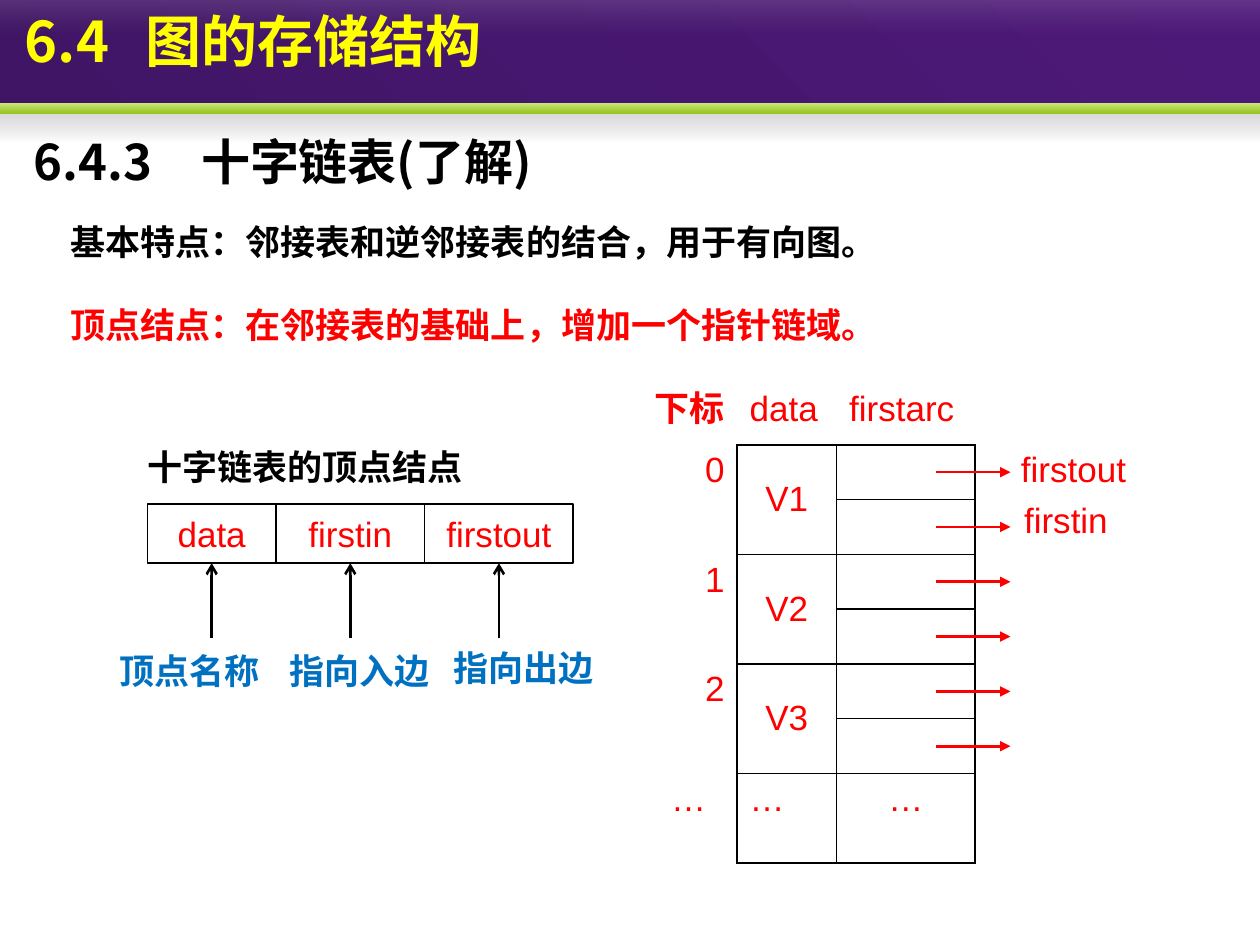
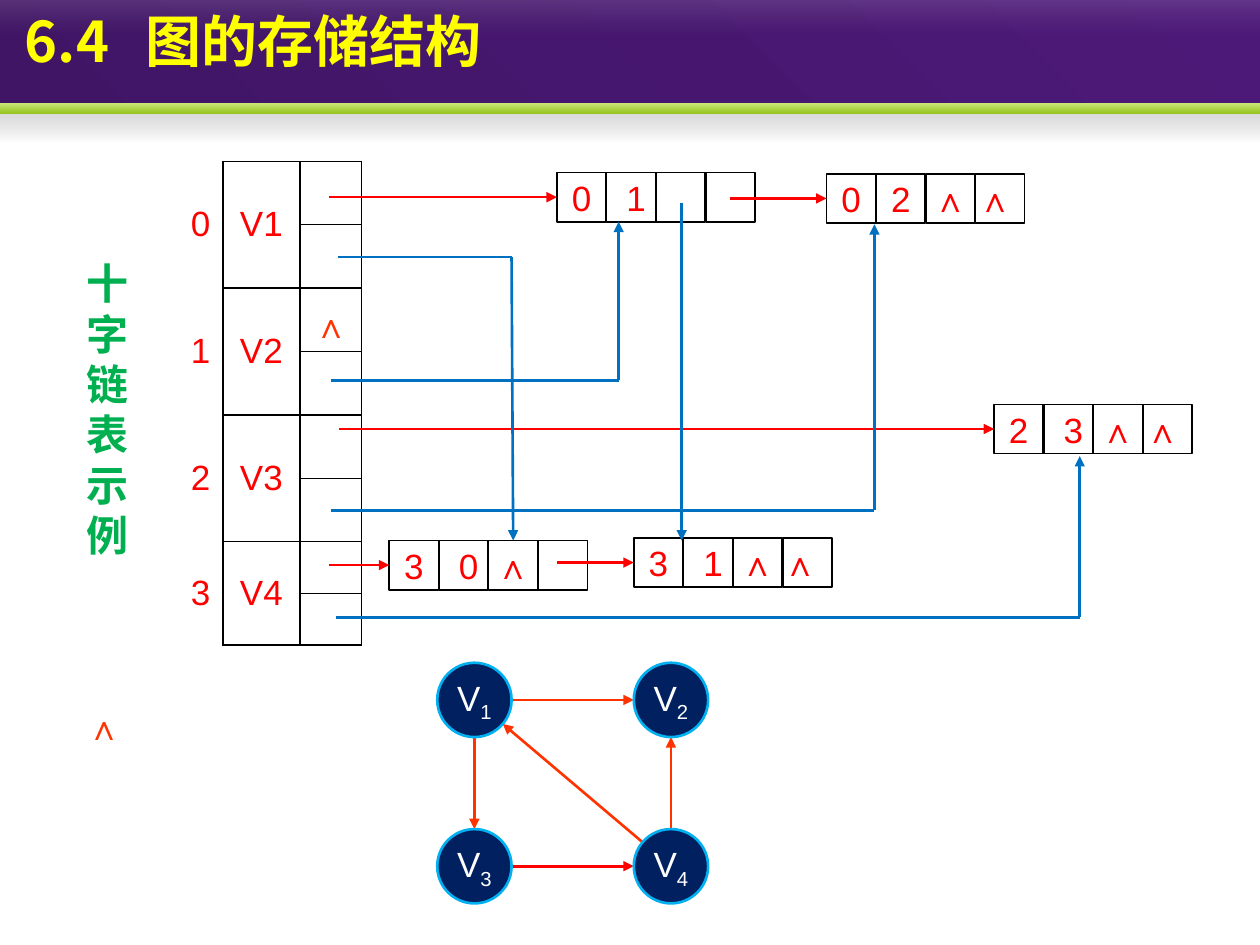
from dataclasses import dataclass
from math import hypot

from lxml.etree import SubElement
from pptx import Presentation
from pptx.dml.color import RGBColor
from pptx.enum.shapes import MSO_CONNECTOR, MSO_SHAPE
from pptx.enum.text import MSO_ANCHOR, MSO_AUTO_SIZE, PP_ALIGN
from pptx.oxml import parse_xml
from pptx.oxml.ns import nsdecls, qn
from pptx.util import Inches, Pt


@dataclass(frozen=True)
class Theme:
    han: str = "Noto Sans CJK SC"
    latin: str = "Arial"
    black: str = "000000"
    white: str = "FFFFFF"
    red: str = "FF0000"
    orange: str = "FF3300"
    blue: str = "0070C0"
    green: str = "00B050"
    yellow: str = "FFFF00"
    navy: str = "002060"
    sky: str = "00B0F0"
    title: int = 32
    head: int = 28
    side: int = 24
    body: int = 20
    thin: float = 1
    bold: float = 1.5


T = Theme()
LEFT, MID, RIGHT = PP_ALIGN.LEFT, PP_ALIGN.CENTER, PP_ALIGN.RIGHT
TOP, CORE = MSO_ANCHOR.TOP, MSO_ANCHOR.MIDDLE
PLAIN = "{2D5ABB26-0587-4C30-8999-92F81FD0307C}"  # table style without grid

# Shared header: box, gradient angle, (position, colour, opacity)
TITLE = "6.4\t图的存储结构"
BANDS = [
    ((0, 0, 10, 0.9), 315, [(0, "401565", 100), (100, "4D1979", 100)]),
    ((0, 0.88, 10, 0.24), 90, [(0, "808080", 33), (100, "5C5C5C", 0)]),
    ((0, 0.82, 10, 0.08), 90, [(0, "C9E576", 100), (100, "97C523", 100)]),
    ((0, 0, 10, 0.28), 90, [(0, "FFFFFF", 13), (100, "B6B6B6", 0)]),
]

# Slide 1
HEAD = "6.4.3\u3000十字链表(了解)"
POINTS = [
    (1.7, "基本特点：邻接表和逆邻接表的结合，用于有向图。", T.black),
    (2.36, "顶点结点：在邻接表的基础上，增加一个指针链域。", T.red),
]
FIELDS = [("data", 1.02), ("firstin", 1.18), ("firstout", 1.18)]
NOTES = [
    ((1.17, 3.37, 2.68, 0.5), "十字链表的顶点结点", T.black),
    ((0.95, 5, 1.19, 0.47), "顶点名称", T.blue),
    ((2.3, 5, 1.3, 0.47), "指向入边", T.blue),
    ((3.6, 4.98, 1.46, 0.47), "指向出边", T.blue),
]
LINKS = [(7.93, 3.52, "firstout"), (7.87, 3.93, "firstin")]
STEP = 2.61 / 6
LIST = {
    "at": (5.08, 3.04), "cols": [0.77, 0.79, 1.1],
    "rows": [0.49] + [STEP] * 6 + [0.71],
    "names": ["V1", "V2", "V3"], "first": 1, "anchor": TOP,
    "extra": {
        (0, 0): ("下标", RIGHT, True), (0, 1): ("data", LEFT, False),
        (0, 2): ("firstarc", LEFT, False), (7, 0): ("…", MID, False),
        (7, 1): ("…", LEFT, False), (7, 2): ("…", MID, False),
    },
}

# Slide 2
SIDE = "十字链表示例"
HEADS = {
    "at": (1.3, 1.28), "cols": [0.47, 0.61, 0.49],
    "rows": [3.02 / 6] * 6 + [0.41] * 2,
    "names": ["V1", "V2", "V3", "V4"], "first": 0, "anchor": CORE, "extra": {},
}
CELL, PITCH = 0.39, 0.394
# Arc nodes: left, top, texts, sideways nudge of each text
ARCS = {
    "01": (4.42, 1.37, ["0", "1", "", ""], [0, 0.04, 0, 0]),
    "02": (6.56, 1.38, ["0", "2", "∧", "∧"], [0, 0, 0, -0.04]),
    "23": (7.89, 3.21, ["2", "3", "∧", "∧"], [0, 0.04, 0, -0.04]),
    "30": (3.09, 4.29, ["3", "0", "∧", ""], [0, 0.04, 0, 0]),
    "31": (5.03, 4.27, ["3", "1", "∧", "∧"], [0, 0.04, 0, -0.08]),
}
OUTS = [(2.61, "01"), (5.79, "02"), (2.69, "23"), (2.61, "30"), (4.42, "31")]
# In-links: start x, bend y, arrow x, arrow end y
INS = [
    (2.68, 2.04, 4.06, 4.29), (2.63, 3.02, 4.91, 1.76),
    (2.63, 4.05, 6.94, 1.78), (2.67, 4.9, 8.57, 3.62),
]
DISC = 0.59
SPOTS = {1: (3.47, 5.26), 2: (5.03, 5.26), 3: (3.47, 6.58), 4: (5.03, 6.58)}
EDGES = [(1, 2, T.orange), (4, 1, T.orange), (1, 3, T.orange),
         (4, 2, T.orange), (3, 4, T.red)]
NILS = [(0.59, 5.55), (2.39, 2.36)]


def rgb(code):
    return RGBColor.from_string(code)


def write(frame, text, color, size=T.body, font=T.latin, bold=False,
          align=LEFT, gap=None, tab=None):
    frame.text = text
    for para in frame.paragraphs:
        para.alignment = align
        if gap:
            para.line_spacing = gap
        if tab:
            tabs = SubElement(para._p.get_or_add_pPr(), qn("a:tabLst"))
            SubElement(tabs, qn("a:tab"), pos=str(Inches(tab)), algn="l")
        para.font.size, para.font.bold, para.font.name = Pt(size), bold, font
        para.font.color.rgb = rgb(color)
        base = para._p.pPr.find(qn("a:defRPr"))
        SubElement(base, qn("a:ea"), typeface=font)


def pad(frame, left=0, right=0):
    frame.margin_top = frame.margin_bottom = 0
    frame.margin_left, frame.margin_right = Inches(left), Inches(right)


def label(slide, box, text, color, anchor=TOP, flush=False, grow=False,
          wrap=True, **style):
    frame = slide.shapes.add_textbox(*map(Inches, box)).text_frame
    frame.word_wrap, frame.vertical_anchor = wrap, anchor
    if flush:
        pad(frame)
    if grow:
        frame.auto_size = MSO_AUTO_SIZE.SHAPE_TO_FIT_TEXT
    write(frame, text, color, **style)


def form(slide, kind, box):
    shape = slide.shapes.add_shape(kind, *map(Inches, box))
    shape.shadow.inherit = False
    return shape


def slot(slide, box, text, nudge=0):
    """Outlined cell of a linked-list node."""
    shape = form(slide, MSO_SHAPE.RECTANGLE, box)
    shape.fill.background()
    shape.line.color.rgb, shape.line.width = rgb(T.black), Pt(T.thin)
    frame = shape.text_frame
    frame.vertical_anchor = CORE
    pad(frame, max(2 * nudge, 0), max(-2 * nudge, 0))
    if text:
        write(frame, text, T.red, bold=text == "∧", align=MID)
    return shape


def line(slide, start, end, color, tip="triangle", goal=None):
    """Line with a tip; goal is the (shape, side) it is joined to."""
    link = slide.shapes.add_connector(
        MSO_CONNECTOR.STRAIGHT, *map(Inches, (*start, *end)))
    link.line.color.rgb, link.line.width = rgb(color), Pt(T.bold)
    if tip:
        SubElement(link.line._get_or_add_ln(), qn("a:tailEnd"), type=tip)
    SubElement(link._element.spPr, qn("a:effectLst"))
    if goal:
        link.end_connect(*goal)


def band(slide, box, angle, stops):
    shape = form(slide, MSO_SHAPE.RECTANGLE, box)
    shape.line.fill.background()
    marks = "".join(
        f'<a:gs pos="{pos * 1000}"><a:srgbClr val="{code}">'
        f'<a:alpha val="{alpha * 1000}"/></a:srgbClr></a:gs>'
        for pos, code, alpha in stops)
    shape._element.spPr.insert(2, parse_xml(
        f'<a:gradFill {nsdecls("a")} rotWithShape="1"><a:gsLst>{marks}</a:gsLst>'
        f'<a:lin ang="{angle * 60000}" scaled="0"/></a:gradFill>'))


def frame_cell(cell, sides):
    cell.fill.background()
    for spot, side in enumerate(sides):
        cell._tc.get_or_add_tcPr().insert(spot, parse_xml(
            f'<a:ln{side} {nsdecls("a")} w="{Pt(T.thin)}"><a:solidFill>'
            f'<a:srgbClr val="{T.black}"/></a:solidFill></a:ln{side}>'))


def grid(slide, at, cols, rows, names, first, anchor, extra):
    """Vertex table: index, name over two rows, and two link cells."""
    size = sum(cols), sum(rows)
    table = slide.shapes.add_table(
        len(rows), len(cols), *map(Inches, (*at, *size))).table
    table.first_row = table.horz_banding = False
    table._tbl.tblPr.find(qn("a:tableStyleId")).text = PLAIN
    for col, width in zip(table.columns, cols):
        col.width = Inches(width)
    for row, height in zip(table.rows, rows):
        row.height = Inches(height)
    for r in range(len(rows)):
        for c in range(len(cols)):
            if r < first:
                sides = "B" if c else ""
            else:
                sides = "LRTB" if c else "R"
            frame_cell(table.cell(r, c), sides)
    for i, name in enumerate(names):
        r = first + 2 * i
        for c, (text, align, stand) in enumerate(
                [(str(i), RIGHT, anchor), (name, MID, CORE)]):
            cell = table.cell(r, c)
            cell.merge(table.cell(r + 1, c))
            cell.vertical_anchor = stand
            write(cell.text_frame, text, T.red, align=align)
    for spot, (text, align, bold) in extra.items():
        write(table.cell(*spot).text_frame, text, T.red, align=align, bold=bold)


def begin(deck):
    """New slide with the shared header."""
    slide = deck.slides.add_slide(deck.slide_layouts[6])
    for item in BANDS:
        band(slide, *item)
    label(slide, (0.1, 0, 9.9, 0.9), TITLE, T.yellow, size=T.title,
          font=T.han, bold=True, tab=0.96)
    return slide


def vertex_slide(deck):
    slide = begin(deck)
    label(slide, (0.17, 1, 7.57, 0.56), HEAD, T.black, CORE,
          size=T.head, font=T.han, bold=True)
    for top, text, color in POINTS:
        label(slide, (0.46, top, 7.32, 0.44), text, color, grow=True,
              font=T.han, bold=True)
    left = 1.17
    for text, width in FIELDS:
        box = slot(slide, (left, 4, width, 0.47), text)
        x = left + width / 2
        line(slide, (x, 5.06), (x, 4.47), T.black, "arrow", (box, 2))
        left += width
    for box, text, color in NOTES:
        label(slide, box, text, color, CORE, flush=True, grow=True,
              font=T.han, bold=True, gap=1.5)
    grid(slide, **LIST)
    for i in range(6):
        y = 3.53 + (i + 0.5) * STEP
        line(slide, (7.43, y), (8.02, y), T.red)
    for left, top, text in LINKS:
        label(slide, (left, top, 1.18, 0.39), text, T.red, CORE,
              flush=True, align=MID)


def graph(slide):
    half = DISC / 2
    for a, b, color in EDGES:
        (ax, ay), (bx, by) = SPOTS[a], SPOTS[b]
        far = hypot(bx - ax, by - ay)
        dx, dy = (bx - ax) / far * half, (by - ay) / far * half
        line(slide, (ax + half + dx, ay + half + dy),
             (bx + half - dx, by + half - dy), color)
    for num, spot in SPOTS.items():
        disc = form(slide, MSO_SHAPE.OVAL, (*spot, DISC, DISC))
        disc.fill.solid()
        disc.fill.fore_color.rgb = rgb(T.navy)
        disc.line.color.rgb, disc.line.width = rgb(T.sky), Pt(T.bold)
        frame = disc.text_frame
        frame.word_wrap, frame.vertical_anchor = False, CORE
        write(frame, "V", T.white, align=MID)
        sub = frame.paragraphs[0].add_run()
        sub.text = str(num)
        sub._r.get_or_add_rPr().set("baseline", "-25000")


def sample_slide(deck):
    slide = begin(deck)
    label(slide, (0.59, 1.99, 0.55, 2.51), "\n".join(SIDE), T.green, CORE,
          size=T.side, font=T.han, bold=True)
    grid(slide, **HEADS)
    graph(slide)
    nodes = {}
    for key, (left, top, texts, nudges) in ARCS.items():
        nodes[key] = [
            slot(slide, (left + i * PITCH, top, CELL, CELL), text, nudge)
            for i, (text, nudge) in enumerate(zip(texts, nudges))]
    for x, key in OUTS:
        left, top = ARCS[key][:2]
        y = top + CELL / 2
        line(slide, (x, y), (left, y), T.red, goal=(nodes[key][0], 1))
    for x, bend, tip, end in INS:
        line(slide, (x, bend), (tip, bend), T.blue, None)
        goal = (nodes["30"][2], 0) if end == ARCS["30"][1] else None
        line(slide, (tip, bend), (tip, end), T.blue, goal=goal)
    line(slide, (5.41, 1.61), (5.41, 4.29), T.blue)
    for spot in NILS:
        label(slide, (*spot, 0.47, 0.39), "∧", T.orange, grow=True,
              wrap=False, bold=True)


def main():
    deck = Presentation()
    deck.slide_width, deck.slide_height = Inches(10), Inches(7.5)
    vertex_slide(deck)
    sample_slide(deck)
    deck.save("out.pptx")


if __name__ == "__main__":
    main()
